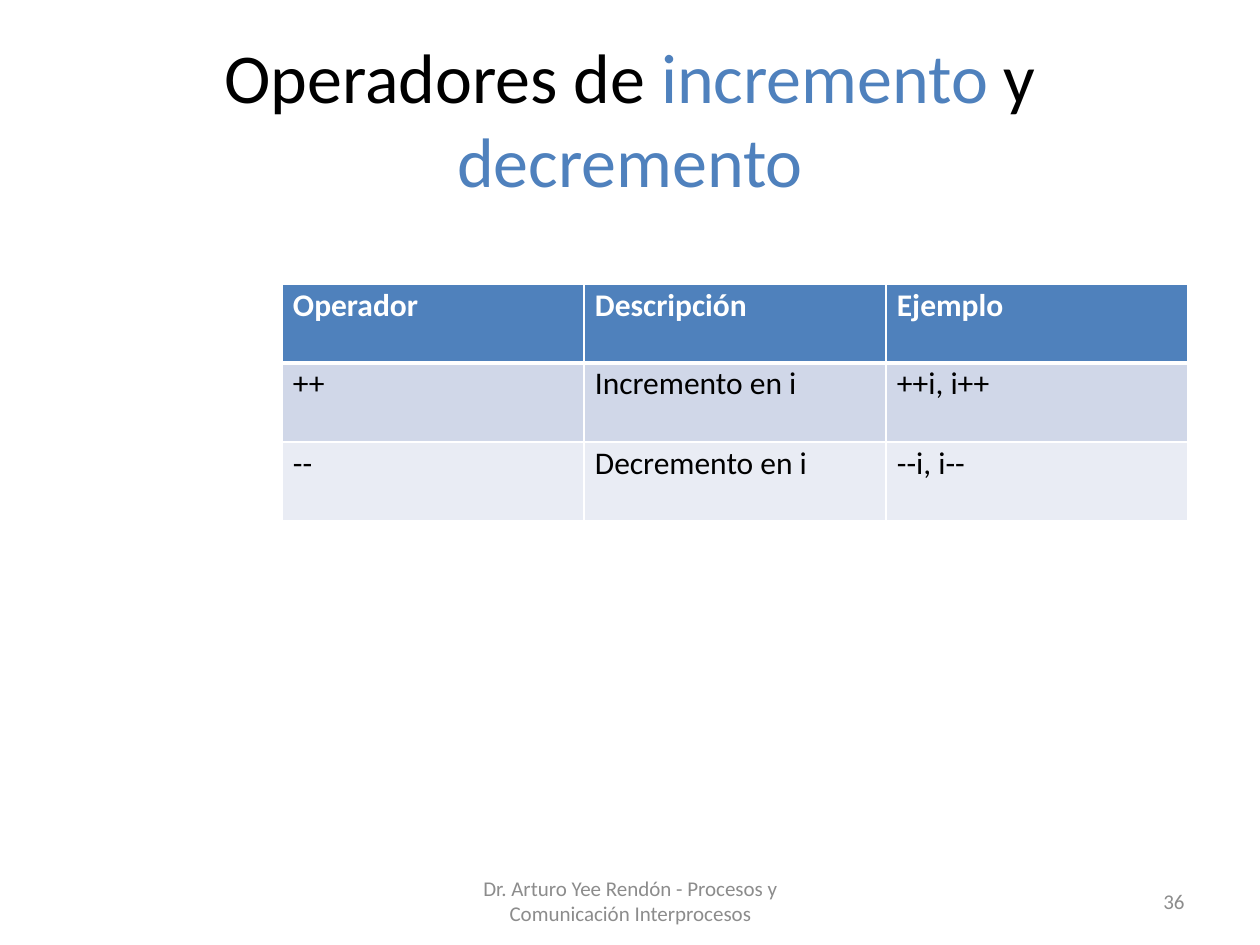
from lxml import etree
from pptx import Presentation
from pptx.dml.color import RGBColor
from pptx.enum.text import MSO_ANCHOR, PP_ALIGN
from pptx.oxml.ns import qn
from pptx.util import Pt

SCALE = 914400 / 126
MIDDLE = MSO_ANCHOR.MIDDLE
CENTER, RIGHT = PP_ALIGN.CENTER, PP_ALIGN.RIGHT
BLACK = RGBColor(0x00, 0x00, 0x00)
WHITE = RGBColor(0xFF, 0xFF, 0xFF)
BLUE = RGBColor(0x4F, 0x81, 0xBD)
HEAD = RGBColor(0x4F, 0x81, 0xBC)
BAND = RGBColor(0xD0, 0xD7, 0xE8)
PALE = RGBColor(0xE9, 0xEC, 0xF4)
GRAY = RGBColor(0x8C, 0x8C, 0x8C)


def px(n):
    return round(n * SCALE)


def write(para, text, size, color, bold=False):
    run = para.add_run()
    run.text = text
    for key, value in {"name": "Calibri", "size": Pt(size), "bold": bold}.items():
        setattr(run.font, key, value)
    run.font.color.rgb = color


prs = Presentation()
prs.slide_width, prs.slide_height = px(1260), px(945)
slide = prs.slides.add_slide(prs.slide_layouts[6])

# Title and footer
texts = [
    ((63, 32, 1134, 170), CENTER, 40, [
        ("Operadores de ", BLACK), ("incremento ", BLUE),
        ("y ", BLACK), ("decremento", BLUE)]),
    ((431, 876, 399, 50), CENTER, 12, [
        ("Dr. Arturo Yee Rendón - Procesos y Comunicación Interprocesos", GRAY)]),
    ((903, 876, 294, 50), RIGHT, 12, [("36", GRAY)]),
]
for place, align, size, runs in texts:
    frame = slide.shapes.add_textbox(*map(px, place)).text_frame
    frame.word_wrap = True
    frame.vertical_anchor = MIDDLE
    para = frame.paragraphs[0]
    para.alignment = align
    for text, color in runs:
        write(para, text, size, color)

# Table of operators: cells, fill, text colour, bold, top margin
rows = [
    (("Operador", "Descripción", "Ejemplo"), HEAD, WHITE, True, 3),
    (("++", "Incremento en i", "++i, i++"), BAND, BLACK, False, 2),
    (("--", "Decremento en i", "--i, i--"), PALE, BLACK, False, 3),
]
table = slide.shapes.add_table(3, 3, px(282), px(284), px(906), px(237)).table
for col in table.columns:
    col.width = px(302)
for r, (words, fill, color, bold, top) in enumerate(rows):
    table.rows[r].height = px(79)
    edges = {"L": 1, "R": 1, "T": 3 if r == 1 else 1, "B": 3 if r == 0 else 1}
    for c, word in enumerate(words):
        cell = table.cell(r, c)
        margins = {"left": px(11), "right": 0, "top": px(top), "bottom": 0}
        for side, value in margins.items():
            setattr(cell, f"margin_{side}", value)
        cell.fill.solid()
        cell.fill.fore_color.rgb = fill
        write(cell.text_frame.paragraphs[0], word, 18, color, bold)
        props = cell._tc.get_or_add_tcPr()
        for i, (side, width) in enumerate(edges.items()):
            line = etree.Element(qn(f"a:ln{side}"), w=str(Pt(width)))
            paint = etree.SubElement(line, qn("a:solidFill"))
            etree.SubElement(paint, qn("a:srgbClr"), val=str(WHITE))
            props.insert(i, line)

prs.save("out.pptx")
